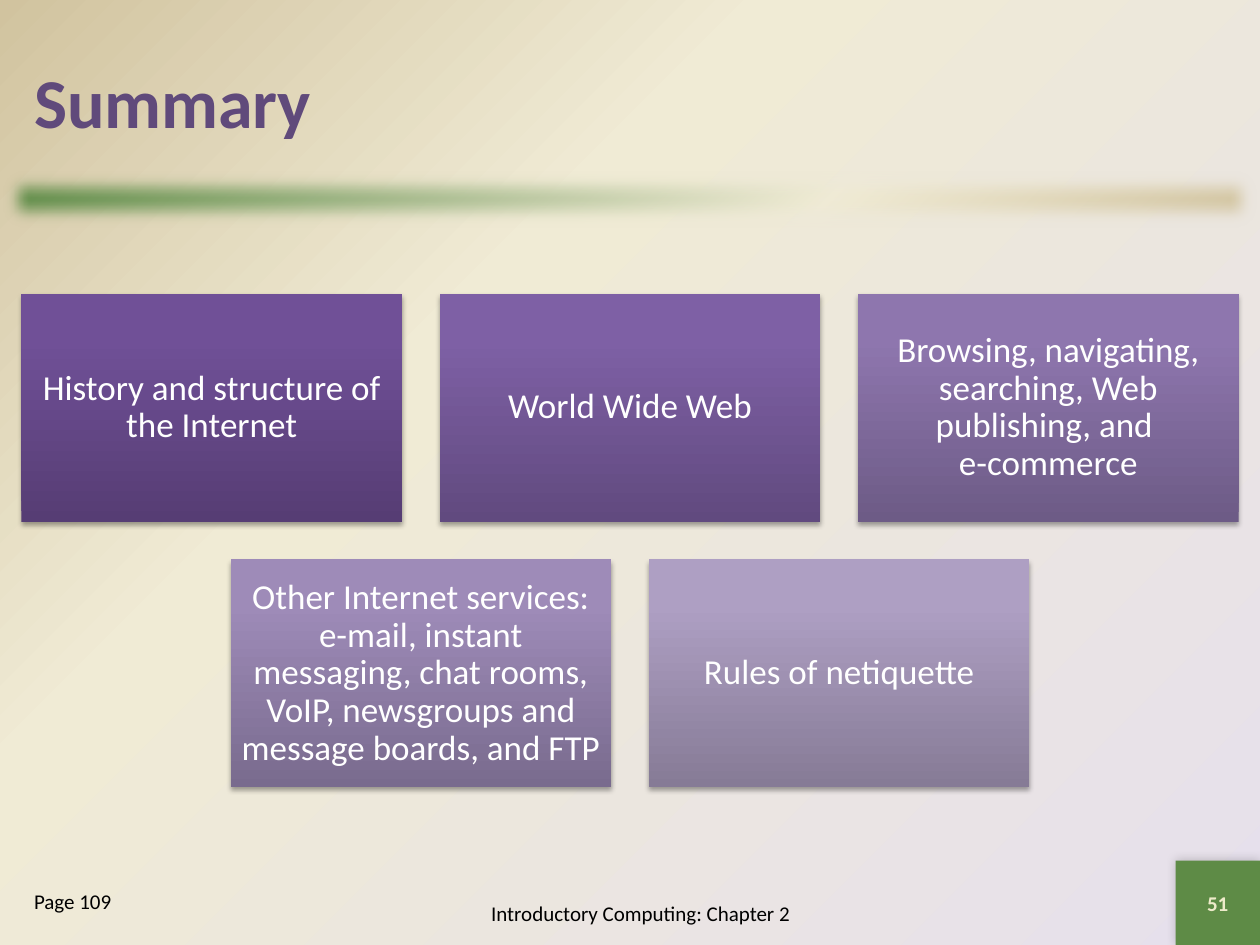
from pptx import Presentation
from pptx.dml.color import RGBColor
from pptx.enum.shapes import MSO_SHAPE
from pptx.enum.text import MSO_ANCHOR, MSO_AUTO_SIZE, PP_ALIGN
from pptx.oxml import parse_xml
from pptx.oxml.ns import nsdecls, qn
from pptx.util import Inches, Pt

RECTANGLE = MSO_SHAPE.RECTANGLE
MIDDLE, TOP = MSO_ANCHOR.MIDDLE, MSO_ANCHOR.TOP
LEFT, CENTER = PP_ALIGN.LEFT, PP_ALIGN.CENTER
NO_AUTOFIT = MSO_AUTO_SIZE.NONE

FONT = "Calibri"
PURPLE = RGBColor(0x60, 0x4A, 0x7B)
GREEN = RGBColor(0x5E, 0x8B, 0x46)
LAVENDER = RGBColor(0xE6, 0xE0, 0xEC)
CREAM = RGBColor(0xF0, 0xEB, 0xD5)
TAN = RGBColor(0xD1, 0xC3, 0x9F)
PALE = RGBColor(0xEE, 0xEB, 0xCA)
WHITE = RGBColor(0xFF, 0xFF, 0xFF)
BLACK = RGBColor(0, 0, 0)

# Each topic: text, then gradient colours from bottom to top
TOPIC_ROWS = [
    [("History and structure of the Internet", "563D74", "705097", "704F99"),
     ("World Wide Web", "614A7F", "7E60A5", "7F60A7"),
     ("Browsing, navigating, searching, Web publishing, and \ve-commerce",
      "6D5B86", "8E76AE", "8E75B0")],
    [("Other Internet services: e-mail, instant messaging, chat rooms, "
      "VoIP, newsgroups and message boards, and FTP",
      "796B8E", "9E8BB8", "9E8BBA"),
     ("Rules of netiquette", "867B96", "AE9FC3", "AE9FC4")],
]
BOX_WIDTH, BOX_HEIGHT, GAP = 3.02, 1.81, 0.3
TOPICS_TOP, SLIDE_WIDTH = 2.33, 10


def set_gradient(fill, owner, colors, middle, direction):
    """Replace the owner's fill by a three-stop gradient."""
    fill.solid()
    stops = "".join(
        f'<a:gs pos="{position * 1000}"><a:srgbClr val="{color}"/></a:gs>'
        for position, color in zip((0, middle, 100), colors))
    gradient = parse_xml(
        f'<a:gradFill {nsdecls("a")} rotWithShape="1">'
        f'<a:gsLst>{stops}</a:gsLst>{direction}</a:gradFill>')
    solid = owner.find(qn("a:solidFill"))
    owner.replace(solid, gradient)


def linear(angle):
    return f'<a:lin ang="{angle * 60000}" scaled="0"/>'


def add_effect(shape, effect):
    effects = shape.element.spPr.find(qn("a:effectLst"))
    effects.append(parse_xml(effect))


def add_shadow(shape, opacity, blur, distance, angle):
    add_effect(
        shape,
        f'<a:outerShdw {nsdecls("a")} blurRad="{Pt(blur)}" '
        f'dist="{Pt(distance)}" dir="{angle * 60000}" rotWithShape="0">'
        f'<a:srgbClr val="{BLACK}"><a:alpha val="{opacity * 1000}"/>'
        '</a:srgbClr></a:outerShdw>')


def add_rectangle(slide, left, top, width, height):
    shape = slide.shapes.add_shape(
        RECTANGLE, Inches(left), Inches(top), Inches(width), Inches(height))
    shape.line.fill.background()
    shape.shadow.inherit = False
    return shape


def place(shape, left, top, width, height):
    shape.left, shape.top = Inches(left), Inches(top)
    shape.width, shape.height = Inches(width), Inches(height)


def write(shape, text, size, color, align=CENTER, anchor=MIDDLE, bold=False):
    """Set the text of a shape and return its paragraph."""
    text_frame = shape.text_frame
    text_frame.text = text
    text_frame.word_wrap = True
    text_frame.auto_size = NO_AUTOFIT
    text_frame.vertical_anchor = anchor
    paragraph = text_frame.paragraphs[0]
    paragraph.alignment = align
    for run in paragraph.runs:
        run.font.name = FONT
        run.font.size = Pt(size)
        run.font.bold = bold
        run.font.color.rgb = color
    return paragraph


def add_topic(slide, left, top, text, colors):
    box = add_rectangle(slide, left, top, BOX_WIDTH, BOX_HEIGHT)
    set_gradient(box.fill, box.element.spPr, colors, 80, linear(270))
    add_shadow(box, 35, 3.1, 1.8, 90)
    paragraph = write(box, text, 20, WHITE)
    paragraph.line_spacing = 0.9
    text_frame = box.text_frame
    text_frame.margin_left = text_frame.margin_right = Inches(0.08)
    text_frame.margin_top = text_frame.margin_bottom = Inches(0.08)


def add_topics(slide):
    """Lay out the rows of boxes, each centred on the slide."""
    for row, topics in enumerate(TOPIC_ROWS):
        row_width = len(topics) * (BOX_WIDTH + GAP) - GAP
        row_left = (SLIDE_WIDTH - row_width) / 2
        top = TOPICS_TOP + row * (BOX_HEIGHT + GAP)
        for column, (text, *colors) in enumerate(topics):
            left = row_left + column * (BOX_WIDTH + GAP)
            add_topic(slide, left, top, text, colors)


def add_background(slide):
    fill = slide.background.fill
    fill.solid()
    properties = slide.element.find(".//" + qn("p:bgPr"))
    set_gradient(fill, properties, (LAVENDER, CREAM, TAN), 65,
                 '<a:path path="circle">'
                 '<a:fillToRect l="100000" t="100000"/></a:path>')


def add_divider(slide):
    bar = add_rectangle(slide, 0, 1.33, SLIDE_WIDTH, 0.5)
    set_gradient(bar.fill, bar.element.spPr, (GREEN, CREAM, TAN), 65,
                 linear(45))
    add_effect(bar, f'<a:softEdge {nsdecls("a")} rad="{Pt(10)}"/>')


def add_page_reference(placeholder):
    place(placeholder, 0.17, 7, 1.83, 0.5)
    paragraph = write(placeholder, "Page 109", 12, BLACK, LEFT, TOP)
    properties = paragraph._p.get_or_add_pPr()
    properties.set("marL", str(Inches(0.38)))
    properties.set("indent", str(Inches(-0.38)))
    properties.append(parse_xml(f'<a:buNone {nsdecls("a")}/>'))
    paragraph.space_before = Pt(0)


def add_footer(slide):
    footer = slide.shapes.add_textbox(
        Inches(3), Inches(7), Inches(4.17), Inches(0.5))
    write(footer, "Introductory Computing: Chapter 2", 12, BLACK)

    number = add_rectangle(slide, 9.33, 6.83, 0.67, 0.67)
    number.fill.solid()
    number.fill.fore_color.rgb = GREEN
    add_shadow(number, 20, 6, 0, 225)
    write(number, "51", 12, PALE, bold=True)


def main():
    presentation = Presentation()
    presentation.slide_width = Inches(SLIDE_WIDTH)
    presentation.slide_height = Inches(7.5)
    slide = presentation.slides.add_slide(presentation.slide_layouts[1])

    # Backdrop and divider
    add_background(slide)
    add_divider(slide)

    # Title
    title = slide.shapes.title
    place(title, 0.17, 0.17, 9.67, 1.25)
    write(title, "Summary", 40, PURPLE, LEFT, bold=True)

    # Topic boxes
    add_topics(slide)

    # Page reference, footer and slide number
    add_page_reference(slide.placeholders[1])
    add_footer(slide)

    presentation.save("out.pptx")


if __name__ == "__main__":
    main()
